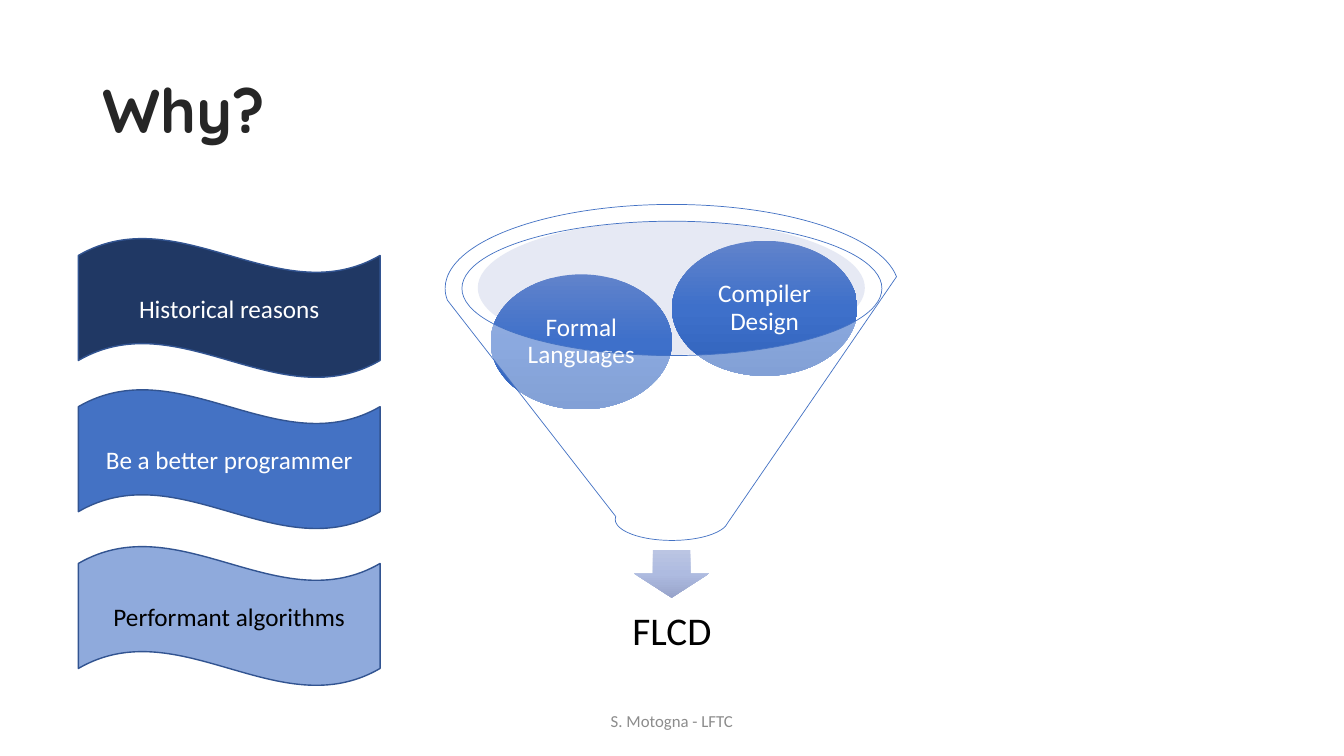
from dataclasses import dataclass
from lxml import etree
from pptx import Presentation
from pptx.dml.color import RGBColor
from pptx.enum.shapes import MSO_SHAPE
from pptx.enum.text import MSO_ANCHOR, PP_ALIGN
from pptx.oxml.ns import qn
from pptx.util import Pt

ELLIPSE, ARROW = MSO_SHAPE.OVAL, MSO_SHAPE.DOWN_ARROW
FUNNEL, WAVE = MSO_SHAPE.FUNNEL, MSO_SHAPE.WAVE
MIDDLE = MSO_ANCHOR.MIDDLE
LEFT, CENTER = PP_ALIGN.LEFT, PP_ALIGN.CENTER


@dataclass(frozen=True)
class Theme:
    heading: str = "Quicksand"
    body: str = "Calibri"
    title_size: int = 44
    result_size: int = 28
    label_size: int = 18
    footer_size: int = 12
    dark: str = "262626"
    black: str = "000000"
    white: str = "FFFFFF"
    grey: str = "8C8C8C"
    navy: str = "203864"
    blue: str = "4472C4"
    light: str = "8FAADC"
    wave_line: str = "325491"
    rim: str = "C1C9E4"
    ball: tuple = ("6183CB", "3E70CA", "3062BB")
    arrow: tuple = ("BBC5E3", "AEBBE0", "98A4CB")


theme = Theme()
prs = Presentation()
prs.slide_width, prs.slide_height = Pt(960), Pt(540)
s = prs.slides.add_slide(prs.slide_layouts[6])


def add_shape(kind, box, colors, line=None, width=1, opacity=None):
    sp = s.shapes.add_shape(kind, *map(Pt, box))
    sp.shadow.inherit = False
    if len(colors) == 1:
        sp.fill.solid()
        sp.fill.fore_color.rgb = RGBColor.from_string(colors[0])
    else:
        sp.fill.gradient()
        sp.fill.gradient_angle = 270
        stops = next(sp._element.iter(qn("a:gsLst")))
        stops.clear()
        for i, color in enumerate(colors):
            gs = etree.SubElement(stops, qn("a:gs"), pos=str(i * 50000))
            etree.SubElement(gs, qn("a:srgbClr"), val=color)
    if opacity:
        clr = next(sp._element.spPr.iter(qn("a:srgbClr")))
        etree.SubElement(clr, qn("a:alpha"), val=str(opacity * 1000))
    if line:
        sp.line.color.rgb = RGBColor.from_string(line)
        sp.line.width = Pt(width)
    else:
        sp.line.fill.background()
    return sp


def write(sp, text, size, color, font=theme.body, align=CENTER, spacing=1.0, inset=None):
    tf = sp.text_frame
    tf.word_wrap = True
    tf.vertical_anchor = MIDDLE
    if inset is not None:
        tf.margin_left = tf.margin_right = tf.margin_top = tf.margin_bottom = Pt(inset)
    p = tf.paragraphs[0]
    p.text = text
    p.alignment = align
    p.line_spacing = spacing
    p.font.name = font
    p.font.size = Pt(size)
    p.font.color.rgb = RGBColor.from_string(color)
    return p


title = s.shapes.add_textbox(Pt(66), Pt(28.8), Pt(828), Pt(104.4))
p = write(title, "Why?", theme.title_size, theme.dark, theme.heading, LEFT, 0.9)
p.font.bold = True

add_shape(ELLIPSE, (341.3, 157.7, 276.5, 95.8), (theme.rim,), opacity=40)
add_shape(ARROW, (453, 392.6, 53.5, 34.3), theme.arrow)
result = s.shapes.add_textbox(Pt(351.5), Pt(419.8), Pt(257), Pt(64))
write(result, "FLCD", theme.result_size, theme.black, spacing=0.9, inset=16)

for text, left, top, width in (
    ("Compiler Design", 480, 172, 132.5),
    ("Formal Languages", 350.5, 196, 129.5),
):
    ball = add_shape(ELLIPSE, (left, top, width, 96.5), theme.ball)
    write(ball, text, theme.label_size, theme.white, spacing=0.9, inset=2)

add_shape(FUNNEL, (318, 146, 324, 240), (theme.white,), theme.blue, 0.5, 40)

footer = s.shapes.add_textbox(Pt(318), Pt(500.5), Pt(324), Pt(28.8))
write(footer, "S. Motogna - LFTC", theme.footer_size, theme.grey)

for text, top, fill, color in (
    ("Historical reasons", 170, theme.navy, theme.white),
    ("Be a better programmer", 278, theme.blue, theme.white),
    ("Performant algorithms", 390, theme.light, theme.black),
):
    wave = add_shape(WAVE, (56, top, 215.5, 100), (fill,), theme.wave_line)
    write(wave, text, theme.label_size, color)

prs.save("out.pptx")
